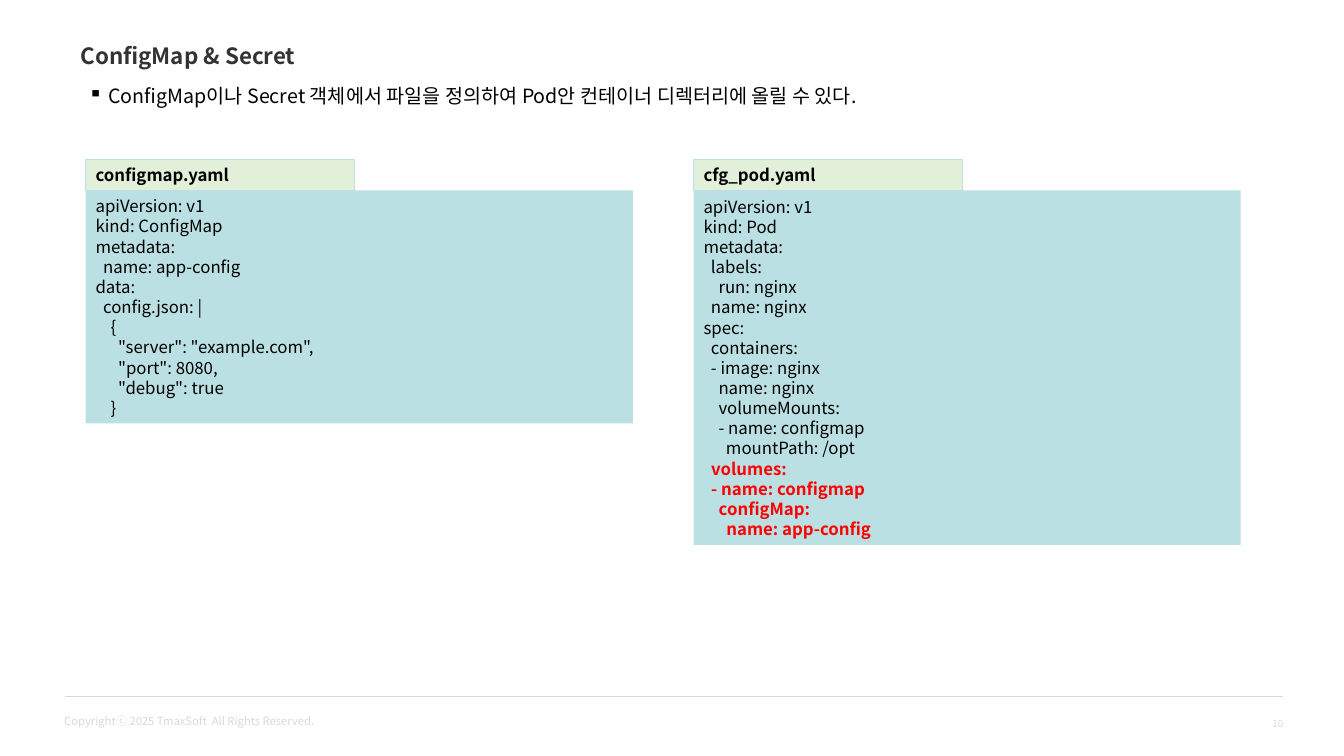
import pptx
import pptx.dml.color
import pptx.enum.shapes
import pptx.enum.text
import pptx.oxml.ns
import pptx.util
from lxml import etree

TITLE = "ConfigMap & Secret"
SUMMARY = "ConfigMap이나 Secret 객체에서 파일을 정의하여 Pod안 컨테이너 디렉터리에 올릴 수 있다."
COPYRIGHT = "Copyrightⓒ 2025 TmaxSoft  All Rights Reserved."
PAGE_NUMBER = "10"

CONFIGMAP_CODE = """apiVersion: v1
kind: ConfigMap
metadata:
  name: app-config
data:
  config.json: |
    {
      "server": "example.com",
      "port": 8080,
      "debug": true
    }"""
POD_CODE = """apiVersion: v1
kind: Pod
metadata:
  labels:
    run: nginx
  name: nginx
spec:
  containers:
  - image: nginx
    name: nginx
    volumeMounts:
    - name: configmap
      mountPath: /opt"""
VOLUMES_CODE = """  volumes:
  - name: configmap
    configMap:
      name: app-config"""

LISTINGS = [
    {"file": "configmap.yaml", "code": CONFIGMAP_CODE, "marked": ""},
    {"file": "cfg_pod.yaml", "code": POD_CODE, "marked": VOLUMES_CODE},
]

COLORS = {
    "title": "333333",
    "text": "000000",
    "marked": "FF0000",
    "body": "BBE0E3",
    "tab": "E2F0D9",
    "rule": "DBDBDB",
    "footer": "D9D9D9",
}
FONT = "Noto Sans CJK KR"
LINE_RATIO = 1.2

LISTING_LEFT, LISTING_STEP, LISTING_WIDTH = 2.16, 15.32, 13.79
TAB_TOP, TAB_WIDTH, TAB_HEIGHT = 4.02, 6.78, 0.78
CODE_LINE, CODE_PADDING = 0.51, 0.26

Cm = pptx.util.Cm
Align = pptx.enum.text.PP_ALIGN


def rgb(name):
    return pptx.dml.color.RGBColor.from_string(COLORS[name])


def write(para, text, size, color, bold=False, align=Align.LEFT):
    para.alignment = align
    para.line_spacing = pptx.util.Pt(round(size * LINE_RATIO, 1))
    para.space_before = pptx.util.Pt(0)
    span = para.add_run()
    span.text = text
    span.font.size = pptx.util.Pt(size)
    span.font.bold = bold
    span.font.color.rgb = rgb(color)
    span.font.name = FONT
    east_asian = etree.SubElement(span.font._element, pptx.oxml.ns.qn("a:ea"))
    east_asian.set("typeface", FONT)


def prepare(box, wrap=True):
    frame = box.text_frame
    frame.word_wrap = wrap
    frame.auto_size = pptx.enum.text.MSO_AUTO_SIZE.NONE
    frame.vertical_anchor = pptx.enum.text.MSO_ANCHOR.MIDDLE
    frame.margin_left = frame.margin_right = Cm(0.25)
    frame.margin_top = frame.margin_bottom = Cm(0.13)
    return frame.paragraphs[0]


def add_text_box(page, left, top, width, height, wrap=True):
    box = page.shapes.add_textbox(Cm(left), Cm(top), Cm(width), Cm(height))
    return prepare(box, wrap)


def add_panel(page, left, top, width, height, fill):
    panel = page.shapes.add_shape(
        pptx.enum.shapes.MSO_SHAPE.RECTANGLE, Cm(left), Cm(top), Cm(width), Cm(height))
    panel.shadow.inherit = False
    panel.fill.solid()
    panel.fill.fore_color.rgb = rgb(fill)
    prepare(panel)
    return panel


def add_title(page):
    title = page.shapes.title
    title.left, title.top, title.width, title.height = Cm(1.78), Cm(0.94), Cm(14.55), Cm(0.94)
    write(prepare(title), TITLE, 16, "title", bold=True)


def add_summary(page):
    para = add_text_box(page, 1.98, 1.98, 27.38, 0.86)
    properties = para._p.get_or_add_pPr()
    properties.set("marL", str(Cm(0.5)))
    properties.set("indent", str(-Cm(0.5)))
    bullet = etree.SubElement(properties, pptx.oxml.ns.qn("a:buChar"))
    bullet.set("char", "▪")
    write(para, SUMMARY, 14, "text")


def add_listing(page, left, listing):
    lines = [(line, False) for line in listing["code"].splitlines()]
    lines += [(line, True) for line in listing["marked"].splitlines()]
    height = len(lines) * CODE_LINE + CODE_PADDING
    body = add_panel(page, left, TAB_TOP + TAB_HEIGHT, LISTING_WIDTH, height, "body")
    body.line.fill.background()
    frame = body.text_frame
    for index, (line, marked) in enumerate(lines):
        para = frame.add_paragraph() if index else frame.paragraphs[0]
        write(para, line, 12, "marked" if marked else "text", bold=marked)

    tab = add_panel(page, left, TAB_TOP, TAB_WIDTH, TAB_HEIGHT, "tab")
    tab.line.color.rgb = rgb("body")
    tab.line.width = pptx.util.Pt(0.75)
    write(tab.text_frame.paragraphs[0], listing["file"], 12, "text", bold=True)


def add_footer(page):
    rule = page.shapes.add_connector(
        pptx.enum.shapes.MSO_CONNECTOR.STRAIGHT, Cm(1.63), Cm(17.55), Cm(32.33), Cm(17.55))
    rule.line.color.rgb = rgb("rule")
    rule.line.width = pptx.util.Pt(0.5)
    etree.SubElement(rule._element.spPr, pptx.oxml.ns.qn("a:effectLst"))
    write(add_text_box(page, 1.37, 17.86, 6.86, 0.61, wrap=False), COPYRIGHT, 8, "footer")
    write(add_text_box(page, 29.92, 17.4, 2.67, 1.65), PAGE_NUMBER, 7, "footer", align=Align.RIGHT)


def main():
    deck = pptx.Presentation()
    deck.slide_width, deck.slide_height = Cm(33.87), Cm(19.05)
    page = deck.slides.add_slide(deck.slide_layouts.get_by_name("Title Only"))
    add_footer(page)
    add_title(page)
    add_summary(page)
    for column, listing in enumerate(LISTINGS):
        add_listing(page, LISTING_LEFT + column * LISTING_STEP, listing)
    deck.save("out.pptx")


if __name__ == "__main__":
    main()
